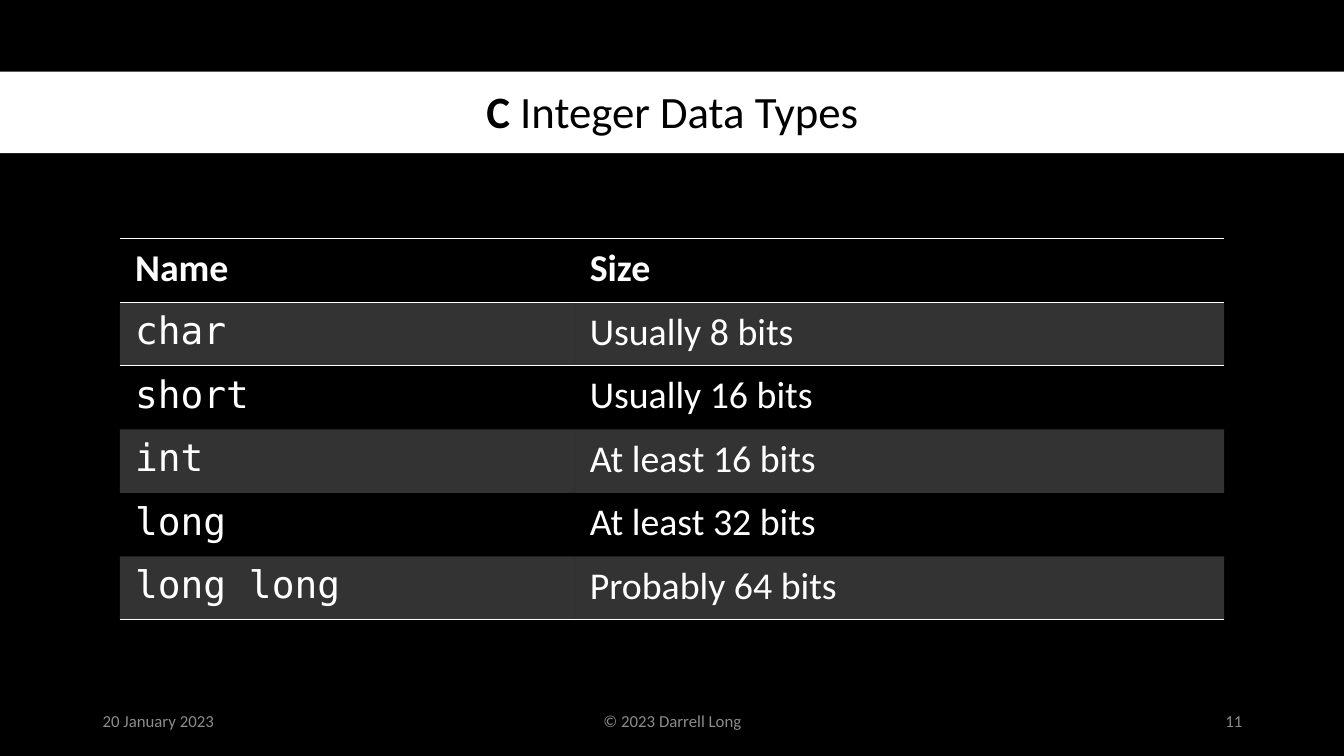
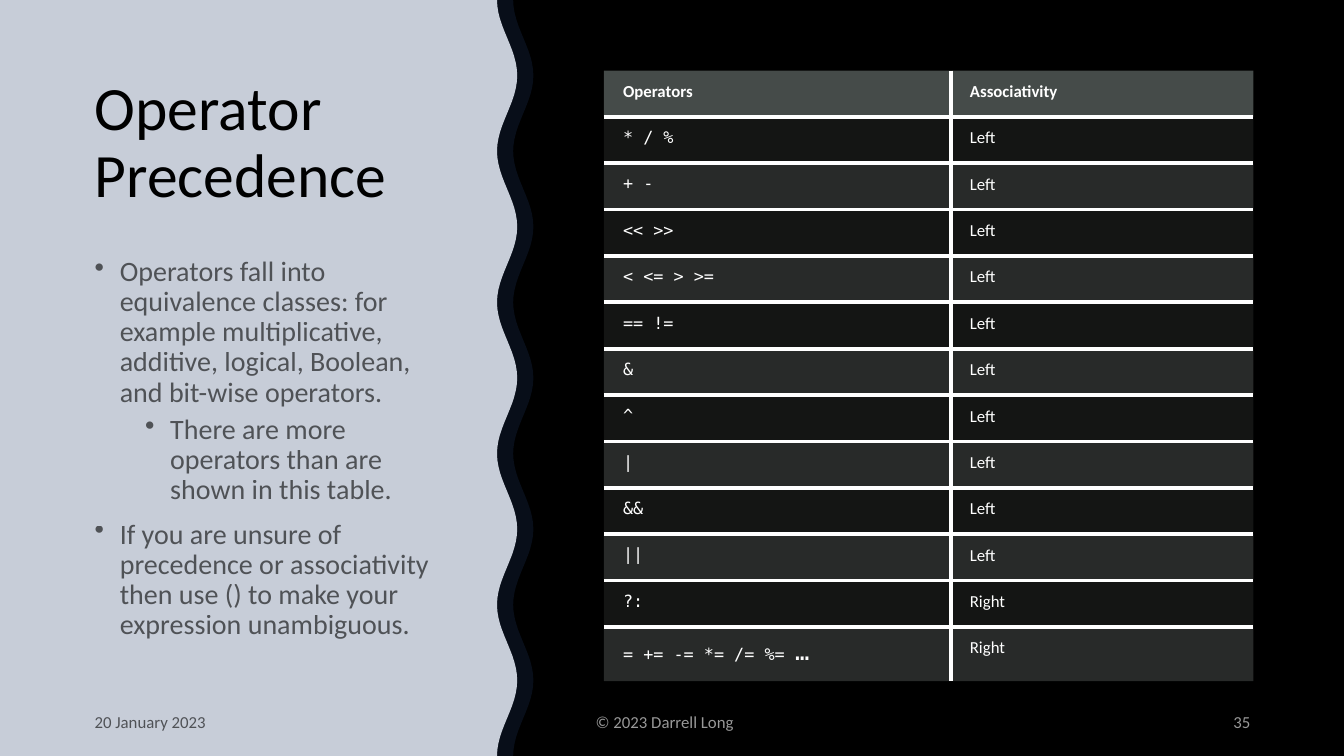
from math import cos, pi

from lxml import etree
from pptx import Presentation
from pptx.dml.color import RGBColor
from pptx.enum.shapes import MSO_SHAPE
from pptx.enum.text import MSO_ANCHOR, PP_ALIGN
from pptx.oxml.ns import qn
from pptx.util import Inches, Pt

BLACK = RGBColor(0x00, 0x00, 0x00)
WHITE = RGBColor(0xFF, 0xFF, 0xFF)
GREY = RGBColor(0x8C, 0x8C, 0x8C)
NAVY = RGBColor(0x20, 0x38, 0x64)
SLATE = RGBColor(0x63, 0x6B, 0x68)
SAGE = RGBColor(0x87, 0x8E, 0x8B)

RECT = MSO_SHAPE.RECTANGLE
TOP, MIDDLE = MSO_ANCHOR.TOP, MSO_ANCHOR.MIDDLE
LEFT, CENTER, RIGHT = PP_ALIGN.LEFT, PP_ALIGN.CENTER, PP_ALIGN.RIGHT

SANS, MONO = "Calibri", "DejaVu Sans Mono"
WIDE, HIGH = 13.33, 7.5
PLAIN = "{2D5ABB26-0587-4C30-8999-92F81FD0307C}"  # table style without grid
DATE, OWNER = "20 January 2023", "© 2023 Darrell Long"


def fade(node, alpha):
    """Make every colour below node opaque to alpha percent."""
    if alpha < 100:
        for color in node.iter(qn("a:srgbClr")):
            etree.SubElement(color, qn("a:alpha"), val=str(alpha * 1000))


class Deck:
    """Holds the shared style and the slide being filled."""

    def __init__(self):
        self.prs = Presentation()
        self.prs.slide_width = Inches(WIDE)
        self.prs.slide_height = Inches(HIGH)
        self.slide = None

    def page(self):
        self.slide = self.prs.slides.add_slide(self.prs.slide_layouts[6])
        fill = self.slide.background.fill
        fill.solid()
        fill.fore_color.rgb = BLACK

    def paint(self, shape, color, alpha=100):
        shape.shadow.inherit = False
        shape.line.fill.background()
        shape.fill.solid()
        shape.fill.fore_color.rgb = color
        fade(shape.fill._xPr, alpha)

    def band(self, top, height):
        box = map(Inches, (0, top, WIDE, height))
        self.paint(self.slide.shapes.add_shape(RECT, *box), WHITE)

    def wave(self, middle, color, alpha=100):
        """Fill from the left edge to a wavy edge around x = middle."""
        swing, period, steps = 0.1, 1.5, 120
        edge = []
        for i in range(steps + 1):
            y = HIGH * i / steps
            x = middle - swing * cos(2 * pi * y / period)
            edge.append((Inches(x), Inches(y)))
        pen = self.slide.shapes.build_freeform(0, 0)
        pen.add_line_segments(edge + [(0, Inches(HIGH))], close=True)
        self.paint(pen.convert_to_shape(), color, alpha)

    def run(self, para, text, size, color, alpha=100, font=SANS, bold=False):
        run = para.add_run()
        run.text = text
        run.font.size = Pt(size)
        run.font.name = font
        run.font.bold = bold
        run.font.color.rgb = color
        fade(run._r, alpha)

    def frame(self, box, anchor=TOP):
        frame = self.slide.shapes.add_textbox(*map(Inches, box)).text_frame
        frame.word_wrap = True
        frame.vertical_anchor = anchor
        return frame

    def title(self, box, size, runs, align=LEFT, anchor=TOP):
        para = self.frame(box, anchor).paragraphs[0]
        para.alignment = align
        para.line_spacing = 0.9
        for text, bold in runs:
            self.run(para, text, size, BLACK, bold=bold)

    def list(self, box, items):
        frame = self.frame(box)
        for i, (level, text) in enumerate(items):
            para = frame.add_paragraph() if i else frame.paragraphs[0]
            props = para._p.get_or_add_pPr()
            props.set("marL", str(Inches(0.25 + 0.5 * level)))
            props.set("indent", str(Inches(-0.25)))
            etree.SubElement(props, qn("a:buChar"), char="•")
            para.level = level
            para.line_spacing = 0.9
            if i:
                para.space_before = Pt(5 if level else 10)
            self.run(para, text, 20, BLACK, 60)

    def foot(self, top, height, parts):
        for text, left, width, align, color, alpha in parts:
            box = (left, top, width, height)
            para = self.frame(box, MIDDLE).paragraphs[0]
            para.alignment = align
            para.space_after = Pt(6)
            self.run(para, text, 12, color, alpha)

    def rule(self, cell, sides, width):
        """Draw white borders on the sides named, out of L, R, T and B."""
        props = cell._tc.get_or_add_tcPr()
        for i, side in enumerate(s for s in "LRTB" if s in sides):
            line = etree.Element(qn("a:ln" + side), w=str(Pt(width)))
            fill = etree.SubElement(line, qn("a:solidFill"))
            etree.SubElement(fill, qn("a:srgbClr"), val=str(WHITE))
            props.insert(i, line)

    def table(self, place, cols, heights, rows, size, pads, shade, sides, width):
        """Shade gives a row its (colour, alpha), sides gives a cell its borders."""
        left, top = place
        box = map(Inches, (left, top, sum(cols), sum(heights)))
        table = self.slide.shapes.add_table(len(rows), len(cols), *box).table
        table._tbl.tblPr.find(qn("a:tableStyleId")).text = PLAIN
        table.horz_banding = False
        for col, wide in zip(table.columns, cols):
            col.width = Inches(wide)
        for r, row in enumerate(rows):
            table.rows[r].height = Inches(heights[r])
            for c, text in enumerate(row):
                cell = table.cell(r, c)
                (cell.margin_left, cell.margin_right,
                 cell.margin_top, cell.margin_bottom) = map(Inches, pads)
                tone = shade(r)
                if tone:
                    cell.fill.solid()
                    cell.fill.fore_color.rgb = tone[0]
                    fade(cell._tc.tcPr, tone[1])
                else:
                    cell.fill.background()
                self.rule(cell, sides(r, c), width)
                font = MONO if r and c == 0 else SANS
                para = cell.text_frame.paragraphs[0]
                self.run(para, text, size, WHITE, font=font, bold=r == 0)
        return table


def types(deck):
    deck.page()
    deck.band(0.71, 0.81)
    deck.title((0.92, 0.74, 11.5, 0.78), 32,
               [("C", True), (" Integer Data Types", False)], CENTER, MIDDLE)
    deck.foot(6.95, 0.4, [
        (DATE, 0.92, 3, LEFT, GREY, 100),
        (OWNER, 4.42, 4.5, CENTER, GREY, 100),
        ("11", 9.42, 3, RIGHT, GREY, 100),
    ])
    rows = [
        ("Name", "Size"),
        ("char", "Usually 8 bits"),
        ("short", "Usually 16 bits"),
        ("int", "At least 16 bits"),
        ("long", "At least 32 bits"),
        ("long long", "Probably 64 bits"),
    ]
    last = len(rows) - 1

    def shade(r):
        return (WHITE, 20) if r % 2 else None

    def sides(r, c):
        return {0: "TB", 1: "T", last: "B"}.get(r, "")

    deck.table((1.19, 2.37), (4.51, 6.44), [0.63] * len(rows), rows, 27,
               (0.15, 0.15, 0.07, 0.07), shade, sides, 1)


def ranks(deck):
    deck.page()
    deck.wave(5.03, WHITE)
    deck.wave(5.19, NAVY, 25)
    deck.title((0.84, 0.72, 3.7, 1.63), 44, [("Operator Precedence", False)])
    deck.list((0.84, 2.5, 3.7, 4.2), [
        (0, "Operators fall into equivalence classes: for example "
            "multiplicative, additive, logical, Boolean, and bit-wise operators."),
        (1, "There are more operators than are shown in this table."),
        (0, "If you are unsure of precedence or associativity then use () "
            "to make your expression unambiguous."),
    ])
    deck.foot(6.97, 0.38, [
        (DATE, 0.84, 2.87, LEFT, BLACK, 60),
        (OWNER, 5.81, 4.87, LEFT, WHITE, 60),
        ("35", 11.34, 1.16, RIGHT, WHITE, 60),
    ])
    left = ["* / %", "+ -", "<< >>", "< <= > >=", "== !=",
            "&", "^", "|", "&&", "||"]
    right = ["?:", "= += -= *= /= %= "]
    rows = [("Operators", "Associativity")]
    rows += [(ops, "Left") for ops in left]
    rows += [(ops, "Right") for ops in right]
    last = len(rows) - 1

    def shade(r):
        if r == 0:
            return SLATE, 70
        return SAGE, 15 if r % 2 else 30

    def sides(r, c):
        """Inner edges only."""
        return ("L" if c else "R") + ("T" if r else "") + ("B" if r < last else "")

    table = deck.table((5.99, 0.7), (3.44, 3), [0.46] * last + [0.54], rows, 12,
                       (0.19, 0.11, 0.11, 0.11), shade, sides, 3)
    para = table.cell(last, 0).text_frame.paragraphs[0]
    deck.run(para, "…", 17, WHITE, font=MONO)


def main():
    deck = Deck()
    types(deck)
    ranks(deck)
    deck.prs.save("out.pptx")


if __name__ == "__main__":
    main()
